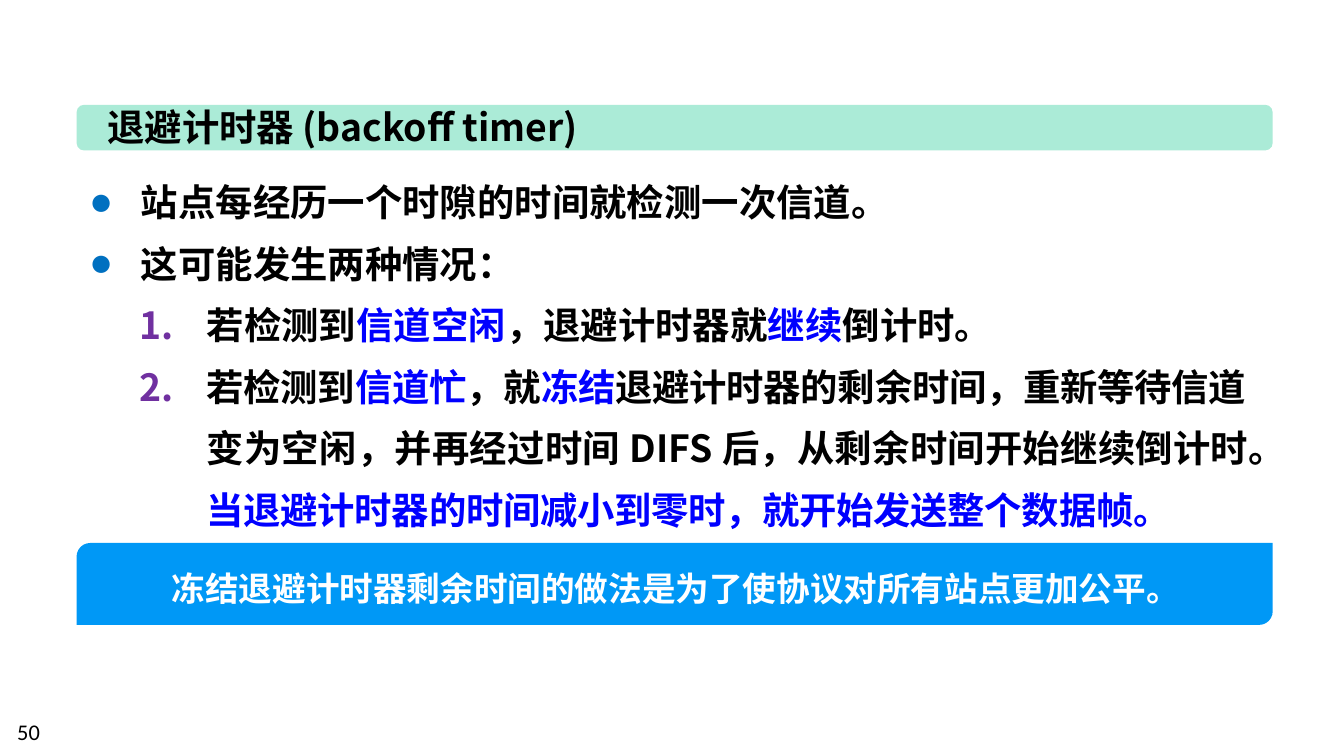
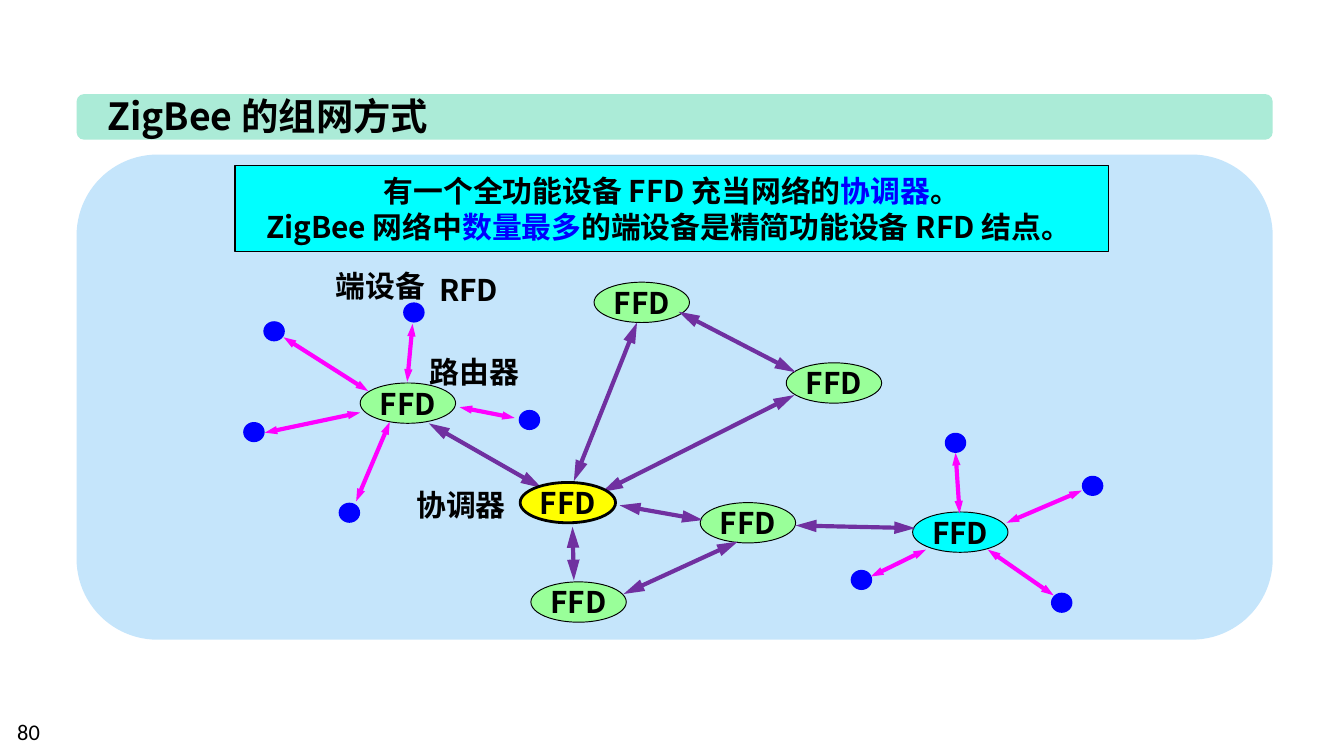
from typing import NamedTuple

from lxml import etree
from pptx import Presentation
from pptx import util as u
from pptx.dml import color as dml
from pptx.enum import shapes as es
from pptx.enum import text as et
from pptx.oxml import ns

HEX = {
    "black": "000000", "white": "FFFFFF", "blue": "0000FF", "mint": "ABEBD7",
    "sky": "C5E5FB", "azure": "0098F6", "cyan": "00FFFF", "green": "99FF99",
    "yellow": "FFFF00", "purple": "7030A0", "pink": "FF00FF", "bullet": "0070C0",
}
FONT = "Noto Sans CJK SC"
PLAIN = "Calibri"
KIND = es.MSO_SHAPE
ALIGN = et.PP_ALIGN
ANCHOR = et.MSO_ANCHOR


class Box(NamedTuple):
    left: float
    top: float
    width: float
    height: float


class Run(NamedTuple):
    text: str
    color: str = "black"
    space: float = 0


class Item(NamedTuple):
    runs: list[Run]
    level: int = 0


class Node(NamedTuple):
    left: float
    top: float
    fill: str = "green"
    edge: float = 0.5


class Link(NamedTuple):
    x1: float
    y1: float
    x2: float
    y2: float


class Label(NamedTuple):
    text: str
    left: float
    top: float
    width: float


# Shared building blocks
def rgb(name: str) -> dml.RGBColor:
    return dml.RGBColor.from_string(HEX[name])


def child(parent, tag: str, **attrs: str):
    return etree.SubElement(parent, ns.qn(tag), attrs)


def style(run, size: float, color: str, bold: bool = True, face: str = FONT) -> None:
    font = run.font
    font.size, font.bold, font.name = u.Pt(size), bold, face
    font.color.rgb = rgb(color)
    child(font._element, "a:ea", typeface=face)


def fill_para(para, runs: list[Run], size: float) -> None:
    for part in runs:
        run = para.add_run()
        run.text = part.text
        style(run, size, part.color)
        if part.space:
            run.font._element.set("spc", str(round(part.space * 100)))


def add_shape(slide, kind, box: Box, fill: str, edge: float = 0):
    shape = slide.shapes.add_shape(kind, *map(u.Inches, box))
    shape.shadow.inherit = False
    shape.fill.solid()
    shape.fill.fore_color.rgb = rgb(fill)
    if edge:
        shape.line.color.rgb = rgb("black")
        shape.line.width = u.Pt(edge)
    else:
        shape.line.fill.background()
    return shape


def add_text(slide, box: Box, text: str, size: float, color: str = "black",
             wrap: bool = False, bold: bool = True, face: str = FONT):
    frame = slide.shapes.add_textbox(*map(u.Inches, box)).text_frame
    frame.word_wrap = wrap
    frame.vertical_anchor = ANCHOR.MIDDLE
    frame.text = text
    style(frame.paragraphs[0].runs[0], size, color, bold, face)
    return frame


def add_band(slide, top: float) -> None:
    add_shape(slide, KIND.ROUNDED_RECTANGLE, Box(0.57, top, 8.9, 0.34), "mint")


def add_title(slide, top: float, text: str, width: float) -> None:
    add_text(slide, Box(0.7, top - 0.06, width, 0.44), text, 20)


def add_page(slide, number: int) -> None:
    add_text(slide, Box(0.03, 5.29, 2.33, 0.3), str(number), 12,
             wrap=True, bold=False, face=PLAIN)


# Bulleted and numbered list
def add_list(slide, box: Box, items: list[Item]) -> None:
    frame = slide.shapes.add_textbox(*map(u.Inches, box)).text_frame
    frame.word_wrap = True
    for i, item in enumerate(items):
        para = frame.add_paragraph() if i else frame.paragraphs[0]
        para.line_spacing = u.Pt(33)
        props = para._p.get_or_add_pPr()
        left, hang = [(0.38, 0.38), (0.87, 0.5)][item.level]
        props.set("marL", str(u.Inches(left)))
        props.set("indent", str(-u.Inches(hang)))
        tint = child(props, "a:buClr")
        child(tint, "a:srgbClr", val=HEX["purple" if item.level else "bullet"])
        if item.level:
            child(props, "a:buFont", typeface="+mj-lt")
            child(props, "a:buAutoNum", type="arabicPeriod")
        else:
            child(props, "a:buFont", typeface=PLAIN)
            child(props, "a:buChar", char="●")
        fill_para(para, item.runs, 20)


# Network parts
def add_dot(slide, left: float, top: float) -> None:
    add_shape(slide, KIND.OVAL, Box(left, top, 0.16, 0.15), "blue")


def add_node(slide, node: Node) -> None:
    box = Box(node.left, node.top, 0.71, 0.3)
    frame = add_shape(slide, KIND.OVAL, box, node.fill, node.edge).text_frame
    frame.word_wrap = False
    frame.vertical_anchor = ANCHOR.MIDDLE
    frame.text = "FFD"
    frame.paragraphs[0].alignment = ALIGN.CENTER
    style(frame.paragraphs[0].runs[0], 16, "black")


def add_link(slide, link: Link, color: str, width: str, length: str) -> None:
    line = slide.shapes.add_connector(es.MSO_CONNECTOR.STRAIGHT, *map(u.Inches, link))
    line.line.color.rgb = rgb(color)
    line.line.width = u.Pt(2.25)
    stroke = line.line._get_or_add_ln()
    for end in ("a:headEnd", "a:tailEnd"):
        child(stroke, end, type="triangle", w=width, len=length)
    child(line._element.spPr, "a:effectLst")


# Slide 1: backoff timer
STEPS = [
    Item([Run("站点每经历一个时隙的时间就检测一次信道。")]),
    Item([Run("这可能发生两种情况：")]),
    Item([Run("若检测到"), Run("信道空闲", "blue"), Run("，退避计时器就"),
          Run("继续", "blue"), Run("倒计时。")], 1),
    Item([Run("若检测到", space=-0.2), Run("信道忙", "blue", -0.2),
          Run("，就", space=-0.2), Run("冻结", "blue", -0.2),
          Run("退避计时器的剩余时间，重新等待信道", space=-0.2),
          Run("变为空闲，并再经过时间 DIFS 后，从剩余时间开始继续倒计时。", space=0.1),
          Run("当退避计时器的时间减小到零时，就开始发送整个数据帧。", "blue", -0.2)], 1),
]


def draw_timer(slide) -> None:
    add_band(slide, 0.78)
    add_title(slide, 0.78, "退避计时器 (backoff timer)", 3.81)
    add_list(slide, Box(0.57, 1.16, 8.84, 2.88), STEPS)
    add_shape(slide, KIND.ROUND_2_DIAG_RECTANGLE, Box(0.57, 4.04, 8.9, 0.61), "azure")
    note = add_text(slide, Box(1.18, 4.1, 7.67, 0.48),
                    "冻结退避计时器剩余时间的做法是为了使协议对所有站点更加公平。",
                    18, "white", wrap=True)
    note.vertical_anchor = ANCHOR.TOP
    note.paragraphs[0].line_spacing = u.Pt(27)
    note.paragraphs[0].space_before = u.Pt(6)
    add_page(slide, 50)


# Slide 2: ZigBee network
FACTS = [
    [Run("有一个全功能设备 FFD 充当网络的"), Run("协调器", "blue"), Run("。")],
    [Run("ZigBee 网络中"), Run("数量最多", "blue"),
     Run("的端设备是精简功能设备 RFD 结点。 ")],
]
DOTS = [(3, 2.25), (7.82, 4.41), (6.33, 4.24), (8.05, 3.54), (7.03, 3.22),
        (1.96, 2.39), (1.81, 3.14), (2.52, 3.74), (3.86, 3.05)]
NODES = [Node(2.68, 2.85), Node(3.95, 4.33), Node(5.85, 2.7), Node(4.42, 2.1),
         Node(5.21, 3.74), Node(6.79, 3.81, "cyan")]
HUB = Node(3.87, 3.59, "yellow", 1.5)
TRUNKS = [
    Link(4.74, 2.4, 4.27, 3.58), Link(3.19, 3.15, 4.03, 3.63),
    Link(5.05, 2.32, 5.92, 2.77), Link(5.91, 2.94, 4.48, 3.66),
    Link(4.26, 3.92, 4.27, 4.32), Link(5.23, 3.87, 4.61, 3.76),
    Link(6.81, 3.93, 5.92, 3.91), Link(5.49, 4.03, 4.64, 4.42),
]
SPOKES = [
    Link(2.11, 2.51, 2.74, 2.91), Link(3.42, 3.03, 3.83, 3.11),
    Link(3.07, 2.41, 3.03, 2.84), Link(1.97, 3.22, 2.68, 3.07),
    Link(8.05, 3.65, 7.49, 3.89), Link(7.11, 3.37, 7.14, 3.82),
    Link(2.9, 3.14, 2.65, 3.73), Link(7.35, 4.09, 7.84, 4.43),
    Link(6.89, 4.09, 6.48, 4.29),
]
LABELS = [Label("RFD", 3.17, 1.97, 0.66), Label("端设备", 2.4, 1.94, 0.88),
          Label("路由器", 3.1, 2.58, 0.88), Label("协调器", 3, 3.57, 0.88)]


def draw_facts(slide) -> None:
    frame = add_shape(slide, KIND.RECTANGLE, Box(1.75, 1.23, 6.5, 0.64),
                      "cyan", 0.75).text_frame
    frame.word_wrap = True
    frame.vertical_anchor = ANCHOR.MIDDLE
    for i, runs in enumerate(FACTS):
        para = frame.add_paragraph() if i else frame.paragraphs[0]
        para.alignment = ALIGN.CENTER
        para.line_spacing = u.Pt(19.3)
        fill_para(para, runs, 16)


def draw_net(slide) -> None:
    add_band(slide, 0.7)
    add_shape(slide, KIND.ROUNDED_RECTANGLE, Box(0.57, 1.15, 8.9, 3.61), "sky")
    add_title(slide, 0.7, "ZigBee 的组网方式", 2.66)
    draw_facts(slide)
    for left, top in DOTS:
        add_dot(slide, left, top)
    for node in NODES:
        add_node(slide, node)
    for link in TRUNKS:
        add_link(slide, link, "purple", "med", "lg")
    for link in SPOKES:
        add_link(slide, link, "pink", "sm", "med")
    add_node(slide, HUB)
    for label in LABELS:
        add_text(slide, Box(label.left, label.top, label.width, 0.37), label.text, 16)
    add_page(slide, 80)


def main() -> None:
    deck = Presentation()
    # Widescreen, 16 to 9
    deck.slide_width = u.Inches(10)
    deck.slide_height = u.Inches(10 * 9 / 16)
    for draw in (draw_timer, draw_net):
        draw(deck.slides.add_slide(deck.slide_layouts[6]))
    deck.save("out.pptx")


if __name__ == "__main__":
    main()
